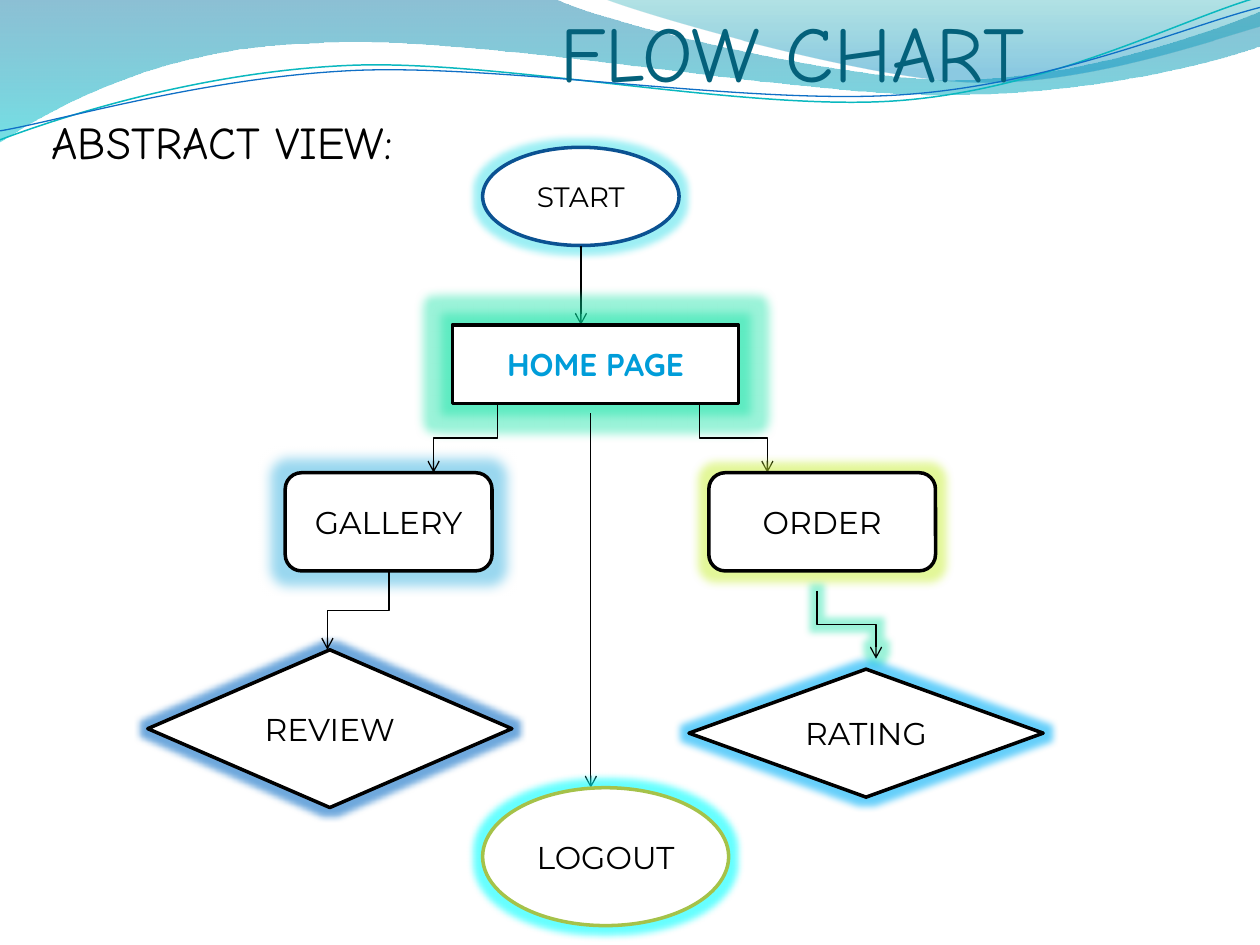
from math import cos, radians, sin

from lxml.etree import SubElement
from pptx import Presentation
from pptx.dml.color import RGBColor
from pptx.enum.shapes import MSO_CONNECTOR as Link, MSO_SHAPE as Shape
from pptx.enum.text import MSO_ANCHOR as Anchor, PP_ALIGN as Align
from pptx.oxml import parse_xml
from pptx.oxml.ns import nsdecls, qn
from pptx.util import Cm, Pt

COLORS = {
    "black": "000000", "white": "FFFFFF", "title": "04617B",
    "navy": "0B5292", "blue": "0F6FC6", "sky": "009DD9", "aqua": "0BD9E6",
    "cyan": "00FFFF", "mint": "05E1A0", "olive": "A5C249", "lime": "C8F032",
    "teal": "0AB8BF", "deep": "0074A1", "lagoon": "00C6CF",
    "sea": "00A1A9", "azure": "008BBF", "bright": "00B0F8",
}

# Each wave has its box and a start point followed by straight (2 numbers)
# or cubic (6 numbers) pieces, all in cm.
BANDS = [
    ((-0.03, -0.03, 25.45, 2.9),
     [(0, 0), (11.18, -0.03), (12.09, 0.43, 16.87, 1.6, 19.25, 1.6),
      (21.67, 1.6, 24.33, 0.66, 25.4, 0.23), (25.43, 0.91),
      (24.97, 1.12, 22.1, 1.93, 18.95, 1.91), (15.8, 1.91, 9.7, 0.71, 6.53, 0.86),
      (3.28, 0.91, 1.17, 2.11, -0.03, 2.87), (0, 0)],
     [(0, "deep", 45), (100, "lagoon", 55)]),
    ((12.17, -0.03, 13.23, 1.78),
     [(12.17, -0.03), (12.93, 0.28, 17.32, 1.57, 19.53, 1.65),
      (21.74, 1.75, 24.41, 0.81, 25.4, 0.53), (25.4, 0), (12.17, -0.03)],
     [(0, "sea", 30), (80, "azure", 45)]),
]
STRANDS = [
    ((-0.05, 0.56, 25.45, 1.8),
     [(0, 2.82), (1.22, 2.36, 4.01, 1.45, 7.04, 1.32),
      (10.03, 1.19, 15.06, 2.26, 18.11, 2.03), (21.16, 1.8, 23.83, 0.38, 25.35, -0.05)],
     "teal", 0.85),
    ((-0.05, 0.76, 25.48, 1.47),
     [(0, 2.64), (1.19, 2.44, 4.17, 1.55, 7.19, 1.42),
      (10.24, 1.3, 15.16, 2.13, 18.21, 1.91), (21.23, 1.7, 23.9, 0.53, 25.4, 0.15)],
     "blue", 0.75),
]
STRAND_TURN = -2.7


def rgb(name):
    return RGBColor.from_string(COLORS[name])


class FlowPage:
    body_font, title_font = "Montserrat", "Comic Neue"

    def __init__(self, deck):
        self.page = deck.slides.add_slide(deck.slide_layouts[5])
        self.shapes = self.page.shapes

    def style(self, para, size, font, color, bold=False):
        for span in para.runs:
            span.font.size, span.font.name, span.font.bold = Pt(size), font, bold
            span.font.color.rgb = rgb(color)

    def glow(self, shape, color, radius, opacity):
        """Give the shape its own effect list, with a glow if a colour is named."""
        props = shape._element.spPr
        effects = props.find(qn("a:effectLst"))
        if effects is None:
            effects = SubElement(props, qn("a:effectLst"))
        if color:
            halo = SubElement(effects, qn("a:glow"), rad=str(Pt(radius)))
            tint = SubElement(halo, qn("a:srgbClr"), val=COLORS[color])
            SubElement(tint, qn("a:alpha"), val=str(opacity * 1000))

    def curve(self, place, pieces, turn=0):
        """Outline with true cubic pieces, whose points are given as seen after the turn."""
        left, top, width, height = place
        builder = self.shapes.build_freeform(Cm(left), Cm(top), scale=1.0)
        builder.add_line_segments([(Cm(left + width), Cm(top + height))], close=False)
        shape = builder.convert_to_shape()
        shape.shadow.inherit = False
        shape.rotation = turn
        outline = next(shape._element.iter(qn("a:path")))
        for child in list(outline):
            outline.remove(child)
        tags = {2: "a:lnTo", 6: "a:cubicBezTo"}
        cosine, sine = cos(radians(turn)), sin(radians(turn))
        for index, piece in enumerate(pieces):
            step = SubElement(outline, qn(tags[len(piece)] if index else "a:moveTo"))
            for x, y in zip(piece[::2], piece[1::2]):
                dx, dy = x - left - width / 2, y - top - height / 2
                SubElement(step, qn("a:pt"),
                           x=str(Cm(width / 2 + dx * cosine + dy * sine)),
                           y=str(Cm(height / 2 - dx * sine + dy * cosine)))
        if pieces[0] == pieces[-1]:
            SubElement(outline, qn("a:close"))
        return shape

    def band(self, place, pieces, stops):
        shape = self.curve(place, pieces)
        shape.line.fill.background()
        shape.fill.gradient()
        marks = "".join(
            f'<a:gs pos="{offset * 1000}"><a:srgbClr val="{COLORS[color]}">'
            f'<a:alpha val="{opacity * 1000}"/></a:srgbClr></a:gs>'
            for offset, color, opacity in stops)
        props = shape._element.spPr
        props.replace(props.find(qn("a:gradFill")), parse_xml(
            f'<a:gradFill {nsdecls("a")} rotWithShape="1"><a:gsLst>{marks}</a:gsLst>'
            '<a:lin ang="5400000" scaled="0"/></a:gradFill>'))

    def strand(self, place, pieces, color, width):
        shape = self.curve(place, pieces, STRAND_TURN)
        shape.fill.background()
        shape.line.color.rgb, shape.line.width = rgb(color), Pt(width)

    def title(self, text):
        title = self.shapes.title
        self.shapes._spTree.append(title._element)  # in front of the waves
        title.left, title.top, title.width, title.height = map(Cm, (1.57, 0, 20.75, 1.98))
        frame = title.text_frame
        frame.text = text
        frame.vertical_anchor = Anchor.BOTTOM
        frame.margin_left = frame.margin_right = frame.margin_bottom = 0
        para = frame.paragraphs[0]
        para.alignment = Align.LEFT
        para._p.get_or_add_pPr().set("marL", str(Cm(9.72)))
        self.style(para, 45, self.title_font, "title")

    def subtitle(self, text):
        box = self.shapes.add_textbox(*map(Cm, (0.79, 2.18, 24.21, 16.87)))
        box.text_frame.word_wrap = True
        box.text_frame.text = text
        para = box.text_frame.paragraphs[0]
        para.space_before = Pt(5.2)
        self.style(para, 26, self.title_font, "black")

    def node(self, kind, text, place, halo, line="black", size=18,
             font=body_font, color="black", bold=False):
        shape = self.shapes.add_shape(kind, *map(Cm, place))
        shape.shadow.inherit = False
        shape.fill.solid()
        shape.fill.fore_color.rgb = rgb("white")
        shape.line.color.rgb, shape.line.width = rgb(line), Pt(2)
        self.glow(shape, *halo)
        shape.text_frame.text = text
        shape.text_frame.vertical_anchor = Anchor.MIDDLE
        para = shape.text_frame.paragraphs[0]
        para.alignment = Align.CENTER
        self.style(para, size, font, color, bold)

    def arrow(self, x1, y1, x2, y2, halo=(None, 0, 0)):
        """Arrow downwards; with a sideways step it leaves and arrives vertically."""
        if x1 == x2:
            link = self.shapes.add_connector(Link.STRAIGHT, *map(Cm, (x1, y1, x2, y2)))
        else:
            # A quarter turn about the centre swaps the two half sizes.
            mid_x, mid_y = (x1 + x2) / 2, (y1 + y2) / 2
            half_w, half_h = (y2 - y1) / 2, abs(x2 - x1) / 2
            link = self.shapes.add_connector(Link.ELBOW, *map(Cm, (
                mid_x - half_w, mid_y - half_h, mid_x + half_w, mid_y + half_h)))
            frame = link._element.spPr.find(qn("a:xfrm"))
            frame.set("rot", str((90 if x2 < x1 else 270) * 60000))
            if x2 > x1:
                frame.set("flipH", "1")
        link.line.color.rgb, link.line.width = rgb("black"), Pt(0.75)
        SubElement(link.line._get_or_add_ln(), qn("a:tailEnd"), type="arrow")
        self.glow(link, *halo)


def main():
    deck = Presentation()
    deck.slide_width, deck.slide_height = Cm(25.4), Cm(19.05)
    flow = FlowPage(deck)
    for band in BANDS:
        flow.band(*band)
    for strand in STRANDS:
        flow.strand(*strand)
    flow.title("FLOW CHART")
    flow.subtitle("ABSTRACT VIEW:")

    flow.node(Shape.OVAL, "START", (9.73, 2.97, 3.96, 1.98), ("aqua", 8, 40), "navy", 16)
    flow.arrow(11.71, 4.95, 11.71, 6.55)
    flow.node(Shape.RECTANGLE, "HOME PAGE", (9.12, 6.55, 5.77, 1.59), ("mint", 11, 40),
              font="Quicksand", color="sky", bold=True)
    flow.node(Shape.ROUNDED_RECTANGLE, "GALLERY", (5.75, 9.53, 4.17, 1.98), ("sky", 14, 40))
    flow.arrow(10.03, 8.13, 8.74, 9.53)
    flow.arrow(14.1, 8.13, 15.47, 9.53)
    flow.node(Shape.ROUNDED_RECTANGLE, "ORDER", (14.29, 9.53, 4.57, 1.98), ("lime", 10, 50))
    flow.node(Shape.FLOWCHART_DECISION, "REVIEW", (2.98, 13.1, 7.34, 3.18), ("blue", 8, 60))
    flow.arrow(7.84, 11.51, 6.6, 13.1)
    flow.arrow(16.47, 11.91, 17.66, 13.28, ("mint", 8, 40))
    flow.node(Shape.FLOWCHART_DECISION, "RATING", (13.89, 13.49, 7.14, 2.58), ("bright", 8, 60))
    flow.arrow(11.91, 8.33, 11.91, 15.88)
    flow.node(Shape.OVAL, "LOGOUT", (9.73, 15.88, 4.96, 2.78), ("cyan", 8, 60), "olive")
    deck.save("out.pptx")


if __name__ == "__main__":
    main()
